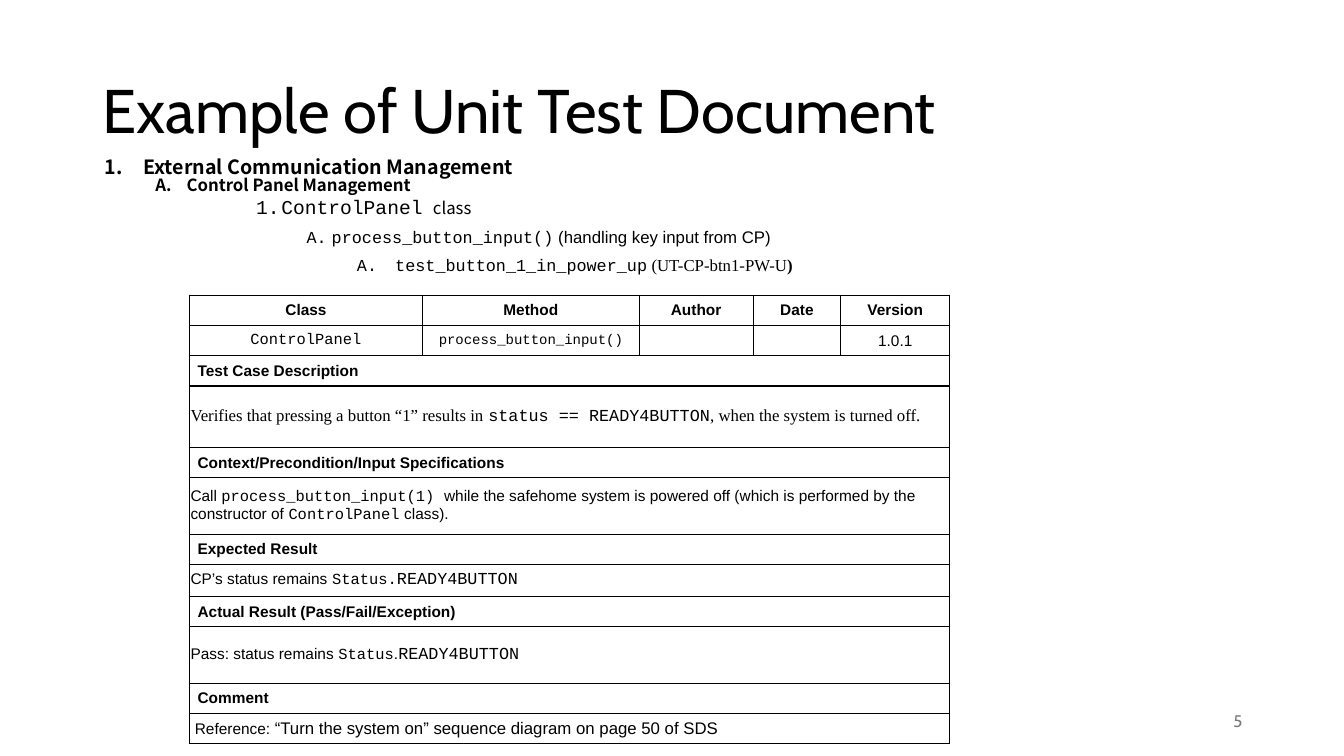
from lxml.etree import SubElement
from pptx import Presentation
from pptx.dml.color import RGBColor
from pptx.enum.text import MSO_ANCHOR as Anchor, MSO_AUTO_SIZE as AutoSize, PP_ALIGN as Align
from pptx.oxml.ns import qn
from pptx.util import Inches, Pt

COLORS = {"text": "000000", "line": "000000", "fill": "FFFFFF", "number": "797979"}
SANS, MONO, SERIF = "Arial", "Courier New", "Times New Roman"
TITLE, LIST = "Cabin", "Noto Sans CJK KR"

OUTLINE = [
    (0, 0.38, 0.38, "arabicPeriod", 0.9, 0, [("External Communication Management", LIST, 14, True)]),
    (1, 0.81, 0.31, "alphaUcPeriod", 0.8, 0, [("Control Panel Management", LIST, 12, True)]),
    (3, 1.75, 0.25, "arabicPeriod", 1, 6,
     [("ControlPanel", MONO, 14), (" ", MONO, 12), ("class", LIST, 12)]),
    (4, 2.25, 0.25, "alphaUcPeriod", 1, 6,
     [("process_button_input()", MONO, 12), (" (handling key input from CP)", SANS, 12)]),
    (5, 2.88, 0.38, "alphaUcPeriod", 1, 6,
     [("test_button_1_in_power_up", MONO, 12), (" (UT-CP-btn1-PW-U", SERIF, 12),
      (")", SERIF, 12, True)]),
]

COLUMNS = [2.31, 2.15, 1.13, 0.87, 1.08]
HEADERS = ["Class", "Method", "Author", "Date", "Version"]
VALUES = [("ControlPanel", MONO, 11), ("process_button_input()", MONO, 10), None, None,
          ("1.0.1", SANS, 11)]
SECTIONS = [
    ("Test Case Description", 0.61,
     [("Verifies that pressing a button “1” results in ", SERIF, 12),
      ("status == READY4BUTTON", MONO, 12), (", when the system is turned off.", SERIF, 12)]),
    ("Context/Precondition/Input Specifications", 0.56,
     [("Call ", SANS, 11), ("process_button_input(1) ", MONO, 11),
      ("while the safehome system is powered off (which is performed by the constructor of ",
       SANS, 11),
      ("ControlPanel", MONO, 11), (" class).", SANS, 11)]),
    ("Expected Result", 0.32,
     [("CP’s status remains ", SANS, 11), ("Status.", MONO, 11), ("READY4BUTTON", MONO, 12)]),
    ("Actual Result (Pass/Fail/Exception)", 0.56,
     [("Pass: status remains ", SANS, 11), ("Status", MONO, 11), (".", SANS, 11),
      ("READY4BUTTON", MONO, 12)]),
    ("Comment", 0.3,
     [(" Reference: ", SANS, 11),
      ("“Turn the system on” sequence diagram on page 50 of SDS", SANS, 12)]),
]


class DocumentPage:
    """Holds the colours and the slide that the elements are placed on."""

    def __init__(self, deck, colors):
        self.colors = colors
        self.page = deck.slides.add_slide(deck.slide_layouts[1])

    def place(self, box, left, top, width, height):
        """Moves a box to a position in inches."""
        box.left, box.top = Inches(left), Inches(top)
        box.width, box.height = Inches(width), Inches(height)

    def add_spans(self, para, spans, color="text"):
        """Adds formatted spans of (text, font, size, bold) to a paragraph."""
        for text, font, size, *bold in spans:
            span = para.add_run()
            span.text = text
            span.font.name, span.font.size = font, Pt(size)
            span.font.bold = bool(bold)
            span.font.color.rgb = RGBColor.from_string(self.colors[color])
            props = span._r.get_or_add_rPr()
            for tag in ("a:ea", "a:cs"):
                SubElement(props, qn(tag)).set("typeface", font)

    def indent(self, para, left, hanging=0):
        """Sets the left margin and hanging indent of a paragraph."""
        props = para._p.get_or_add_pPr()
        props.set("marL", str(Inches(left)))
        props.set("indent", str(-Inches(hanging)))
        return props

    def title(self, text, *place):
        """Fills and formats the title placeholder."""
        box = self.page.shapes.title
        self.place(box, *place)
        frame = box.text_frame
        frame.auto_size, frame.vertical_anchor = AutoSize.NONE, Anchor.MIDDLE
        para = frame.paragraphs[0]
        para.alignment, para.line_spacing = Align.LEFT, 0.9
        self.add_spans(para, [(text, TITLE, 44)])

    def outline(self, items, *place):
        """Fills the body placeholder with a numbered outline."""
        box = self.page.placeholders[1]
        self.place(box, *place)
        frame = box.text_frame
        frame.auto_size, frame.vertical_anchor = AutoSize.NONE, Anchor.TOP
        for index, (level, left, hanging, scheme, spacing, after, spans) in enumerate(items):
            para = frame.add_paragraph() if index else frame.paragraphs[0]
            para.level, para.line_spacing = level, spacing
            para.space_before, para.space_after = Pt(0), Pt(after)
            props = self.indent(para, left, hanging)
            SubElement(props, qn("a:buFont")).set("typeface", spans[0][1])
            SubElement(props, qn("a:buAutoNum")).set("type", scheme)
            self.add_spans(para, spans)

    def number(self, text, *place):
        """Adds the page number."""
        box = self.page.shapes.add_textbox(*map(Inches, place))
        frame = box.text_frame
        frame.word_wrap, frame.vertical_anchor = True, Anchor.MIDDLE
        para = frame.paragraphs[0]
        para.alignment = Align.RIGHT
        self.add_spans(para, [(text, TITLE, 12)], "number")

    def cell(self, cell, spans, align=Align.LEFT, left=0):
        """Fills one table cell."""
        cell.vertical_anchor = Anchor.MIDDLE
        para = cell.text_frame.paragraphs[0]
        para.alignment = align
        self.indent(para, left)
        if spans:
            self.add_spans(para, spans)
        else:
            para._p.get_or_add_endParaRPr().set("sz", "1100")

    def frame_cell(self, cell):
        """Sets the margins, borders and fill of a table cell."""
        cell.margin_left = cell.margin_right = Inches(0.01)
        cell.margin_top = cell.margin_bottom = Inches(0.01)
        props = cell._tc.get_or_add_tcPr()
        for side in ("a:lnL", "a:lnR", "a:lnT", "a:lnB"):
            line = SubElement(props, qn(side), w=str(Pt(1)))
            fill = SubElement(line, qn("a:solidFill"))
            SubElement(fill, qn("a:srgbClr")).set("val", self.colors["line"])
        cell.fill.solid()
        cell.fill.fore_color.rgb = RGBColor.from_string(self.colors["fill"])

    def test_table(self, headers, values, sections, columns, *place):
        """Adds the test case table: two header rows, then titled sections."""
        heights = [0.3, 0.3] + [size for section in sections for size in (0.3, section[1])]
        table = self.page.shapes.add_table(
            len(heights), len(columns), *map(Inches, place)).table
        table.first_row = table.horz_banding = False
        for column, width in zip(table.columns, columns):
            column.width = Inches(width)
        for row, height in zip(table.rows, heights):
            row.height = Inches(height)
        for cell in table.iter_cells():
            self.frame_cell(cell)
        for index, (header, value) in enumerate(zip(headers, values)):
            self.cell(table.cell(0, index), [(header, SANS, 11, True)], Align.CENTER)
            self.cell(table.cell(1, index), [value] if value else [], Align.CENTER)
        for index, (heading, _, spans) in enumerate(sections):
            top = 2 + 2 * index
            for row in (top, top + 1):
                table.cell(row, 0).merge(table.cell(row, len(columns) - 1))
            self.cell(table.cell(top, 0), [(heading, SANS, 11, True)], left=0.07)
            self.cell(table.cell(top + 1, 0), spans)


def main():
    """Builds the unit test document slide."""
    deck = Presentation()
    deck.slide_width, deck.slide_height = Inches(13.33), Inches(7.5)
    page = DocumentPage(deck, COLORS)
    page.title("Example of Unit Test Document", 0.92, 0.4, 11.5, 1.45)
    page.test_table(HEADERS, VALUES, SECTIONS, COLUMNS, 1.88, 2.93, 7.54, 4.42)
    page.number("5", 9.42, 6.95, 3, 0.4)
    page.outline(OUTLINE, 0.94, 1.51, 8.02, 1.35)
    deck.save("out.pptx")


if __name__ == "__main__":
    main()
